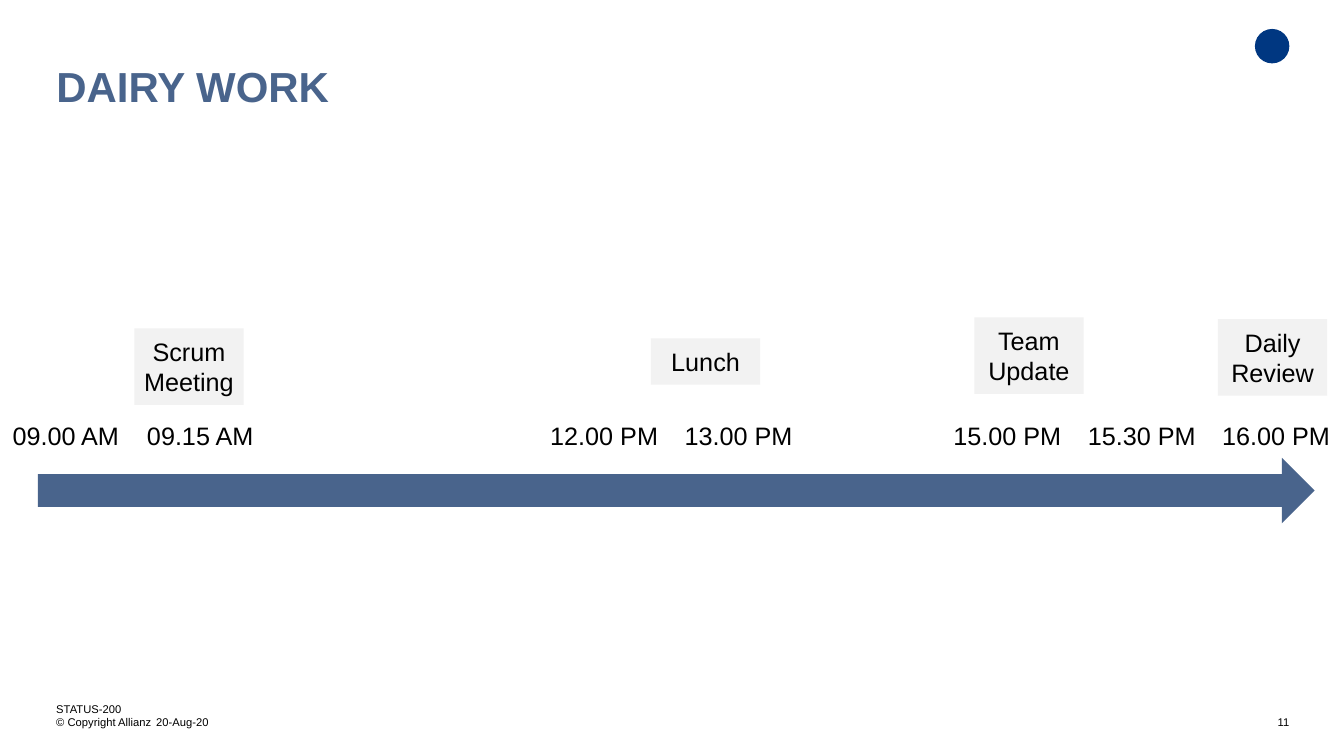
"""Build the daily work timeline slide."""
from lxml.etree import SubElement
from pptx import Presentation
from pptx.dml.color import RGBColor
from pptx.enum.shapes import MSO_SHAPE as Shape
from pptx.enum.text import MSO_ANCHOR as Anchor, PP_ALIGN as Align
from pptx.oxml.ns import qn
from pptx.util import Inches, Pt

COLORS = {"blue": "49648C", "navy": "003781", "gray": "F2F2F2", "black": "000000"}
CELL = Inches(1 / 12)
COLUMNS, ROWS = 160, 90
HOUR_STEP = 16
PADDING = 1
TIMES = [
    ("09.00 AM", 0), ("09.15 AM", 1), ("12.00 PM", 4), ("13.00 PM", 5),
    ("15.00 PM", 7), ("15.30 PM", 8), ("16.00 PM", 9),
]
EVENTS = [
    ("Scrum Meeting", 16, 39.1, 9.1),
    ("Lunch", 77.5, 40.3, 5.5),
    ("Team Update", 116, 37.8, 9.1),
    ("Daily\nReview", 145, 38, 9.1),
]
FOOTERS = [
    ("© Copyright Allianz", 6.7, 85.2, 17, Align.LEFT),
    ("20-Aug-20", 18.6, 85.2, 17, Align.LEFT),
    ("STATUS-200", 6.7, 83.6, 73.5, Align.LEFT),
    ("11", 146.8, 85.2, 6.7, Align.RIGHT),
]


def cells(*counts):
    """Turn grid counts into lengths."""
    return [round(count * CELL) for count in counts]


def write(frame, words, size, color="black", align=Align.LEFT, bold=False, padding=0):
    """Fill a text frame and format its runs."""
    frame.text = words
    frame.word_wrap = True
    inset = round(padding * CELL)
    frame.margin_left = frame.margin_right = inset
    frame.margin_top = frame.margin_bottom = inset
    for paragraph in frame.paragraphs:
        paragraph.alignment = align
        for run in paragraph.runs:
            run.font.name = "Arial"
            run.font.size = Pt(size)
            run.font.bold = bold
            run.font.color.rgb = RGBColor.from_string(COLORS[color])


def add_label(slide, words, place, size, **style):
    """Add a text box on the grid."""
    frame = slide.shapes.add_textbox(*cells(*place)).text_frame
    write(frame, words, size, **style)
    return frame


def add_block(slide, kind, place, color):
    """Add a filled shape without outline or shadow."""
    block = slide.shapes.add_shape(kind, *cells(*place))
    block.shadow.inherit = False
    block.fill.solid()
    block.fill.fore_color.rgb = RGBColor.from_string(COLORS[color])
    block.line.fill.background()
    return block


def add_times(slide):
    """Set the clock times on evenly stepped tab stops."""
    words = "\t".join(time for time, _ in TIMES)
    frame = add_label(slide, words, (0.5, 49, 167, 9.1), 18, padding=PADDING)
    properties = frame.paragraphs[0]._p.get_or_add_pPr()
    stops = SubElement(properties, qn("a:tabLst"))
    for _, step in TIMES[1:]:
        position = round(step * HOUR_STEP * CELL)
        SubElement(stops, qn("a:tab"), pos=str(position), algn="l")


def add_event(slide, words, left, top, height):
    """Add a gray event box above the timeline."""
    event = add_block(slide, Shape.RECTANGLE, (left, top, 13, height), "gray")
    event.text_frame.vertical_anchor = Anchor.MIDDLE
    write(event.text_frame, words, 18, align=Align.CENTER, padding=PADDING)


def main():
    """Create and save the slide."""
    deck = Presentation()
    deck.slide_width, deck.slide_height = cells(COLUMNS, ROWS)
    slide = deck.slides.add_slide(deck.slide_layouts[6])
    add_block(slide, Shape.OVAL, (149.4, 3.45, 4.1, 4.1), "navy")
    for words, left, top, width, align in FOOTERS:
        add_label(slide, words, (left, top, width, 1.6), 8, align=align)
    title = add_label(slide, "DAIRY WORK", (6.7, 6.7, 140, 6.7), 30, color="blue", bold=True)
    title.margin_top = Inches(0.04)
    add_times(slide)
    for event in EVENTS:
        add_event(slide, *event)
    add_block(slide, Shape.RIGHT_ARROW, (4.5, 54.5, 152, 7.8), "blue")
    deck.save("out.pptx")


if __name__ == "__main__":
    main()
